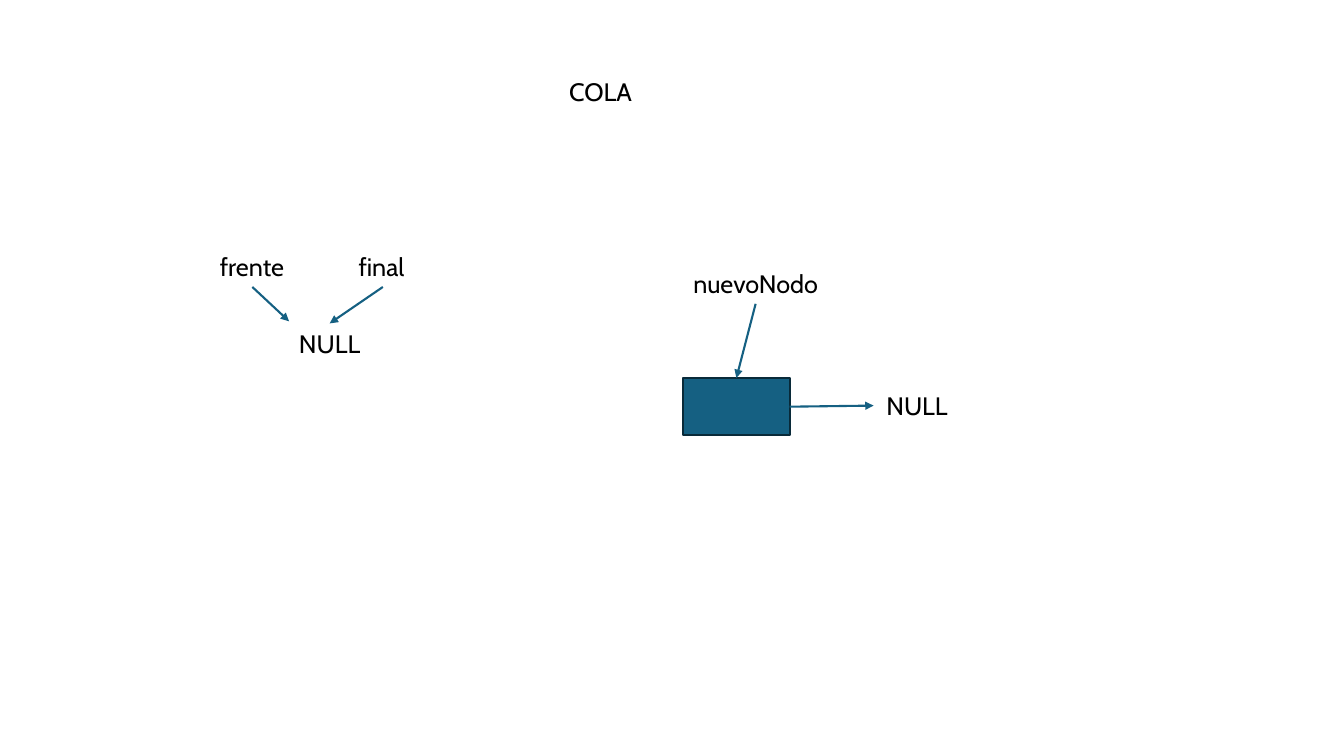
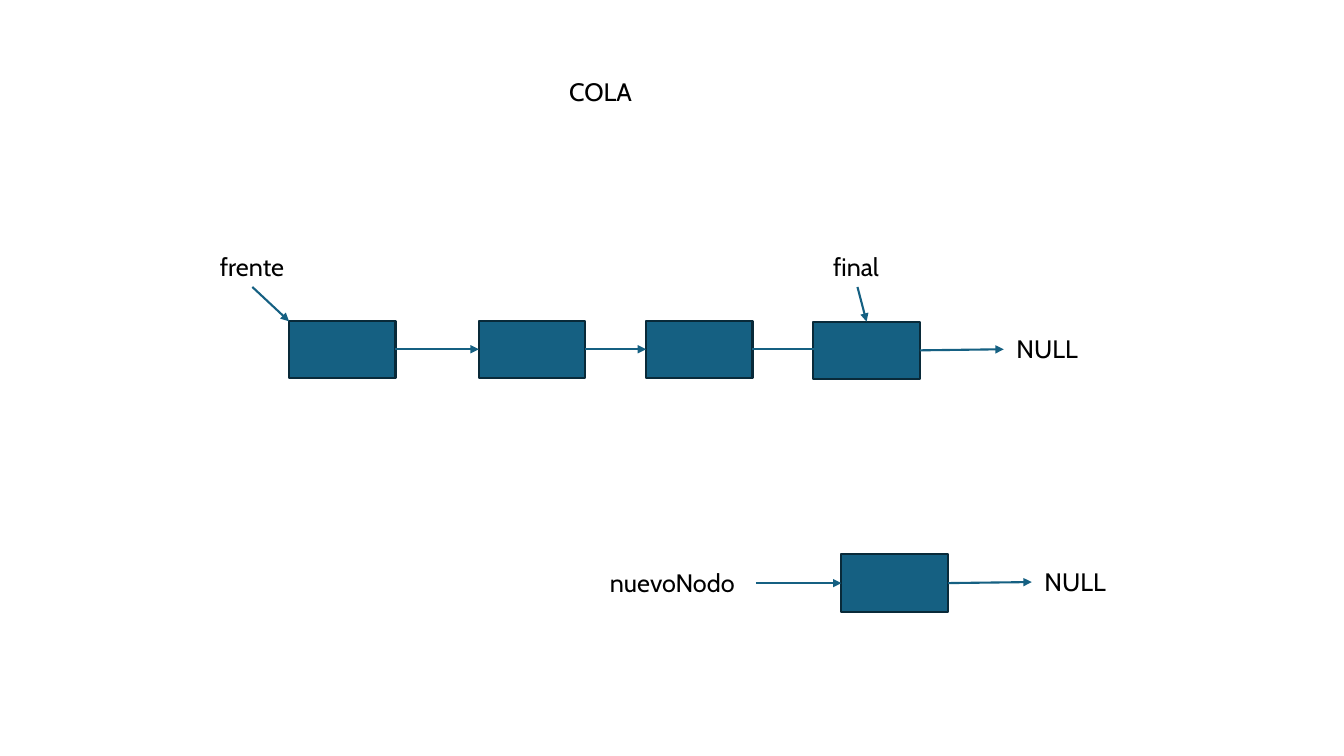
from dataclasses import dataclass

from lxml.etree import SubElement
from pptx import Presentation
from pptx.dml.color import RGBColor
from pptx.enum.shapes import MSO_CONNECTOR, MSO_SHAPE
from pptx.enum.text import MSO_ANCHOR, MSO_AUTO_SIZE, PP_ALIGN
from pptx.oxml.ns import qn
from pptx.util import Pt


@dataclass(frozen=True)
class Theme:
    font: str = "Cabin"
    size: float = 18
    stroke: float = 1.5
    text: RGBColor = RGBColor(0x00, 0x00, 0x00)
    node: RGBColor = RGBColor(0x15, 0x60, 0x82)
    node_edge: RGBColor = RGBColor(0x09, 0x2A, 0x39)
    background: RGBColor = RGBColor(0xFF, 0xFF, 0xFF)


THEME = Theme()
TOP, LEFT, BOTTOM, RIGHT = range(4)
SLIDE_SIZE = (960, 540)
TITLE_BOX = (249, 51, 360, 29)
NODE_SIZE = (76, 41)
LABEL_HEIGHT = 29
LABEL_WIDTHS = {"frente": 60.5, "final": 49, "NULL": 58.5, "nuevoNodo": 119.5}
NULL_ARROW = (60, 19.75)
NULL_LABEL = (62, 5)

SLIDES = [
    {
        "title": "COLA",
        "nodes": {"nuevo": (488, 270)},
        "labels": {"frente": (150, 176), "final": (249, 176),
                   "NULL": (206.5, 231), "nuevoNodo": (480, 188)},
        "ends_in_null": ["nuevo"],
        "arrows": [
            (("frente", BOTTOM), (206.5, 229.5)),
            (("final", BOTTOM), (235.5, 231)),
            (("nuevoNodo", BOTTOM), ("nuevo", TOP)),
        ],
    },
    {
        "title": "COLA",
        "nodes": {"primero": (206.5, 229), "segundo": (342, 229),
                  "tercero": (461.5, 229), "último": (581, 229.75),
                  "nuevo": (601, 396)},
        "labels": {"frente": (150, 176), "final": (588, 176),
                   "nuevoNodo": (420.5, 402)},
        "ends_in_null": ["último", "nuevo"],
        "arrows": [
            (("primero", RIGHT), ("segundo", LEFT)),
            (("segundo", RIGHT), ("tercero", LEFT)),
            (("tercero", RIGHT), (596, 249.5)),
            (("frente", BOTTOM), (206.5, 229.5)),
            (("final", BOTTOM), ("último", TOP)),
            (("nuevoNodo", RIGHT), ("nuevo", LEFT)),
        ],
    },
]


def write(frame, wording, alignment):
    paragraph = frame.paragraphs[0]
    paragraph.alignment = alignment
    run = paragraph.add_run()
    run.text = wording
    run.font.name = THEME.font
    run.font.size = Pt(THEME.size)
    run.font.color.rgb = THEME.text


def add_title(slide, wording):
    title = slide.shapes.title
    title.left, title.top, title.width, title.height = map(Pt, TITLE_BOX)
    frame = title.text_frame
    frame.word_wrap = True
    frame.auto_size = MSO_AUTO_SIZE.SHAPE_TO_FIT_TEXT
    frame.vertical_anchor = MSO_ANCHOR.TOP
    write(frame, wording, PP_ALIGN.CENTER)


def add_label(slide, wording, left, top):
    label = slide.shapes.add_textbox(
        Pt(left), Pt(top), Pt(LABEL_WIDTHS[wording]), Pt(LABEL_HEIGHT))
    centred = wording == "nuevoNodo"
    label.text_frame.word_wrap = centred
    label.text_frame.auto_size = MSO_AUTO_SIZE.SHAPE_TO_FIT_TEXT
    write(label.text_frame, wording,
          PP_ALIGN.CENTER if centred else PP_ALIGN.LEFT)
    return label


def add_node(slide, left, top):
    node = slide.shapes.add_shape(
        MSO_SHAPE.RECTANGLE, Pt(left), Pt(top), *map(Pt, NODE_SIZE))
    node.shadow.inherit = False
    node.fill.solid()
    node.fill.fore_color.rgb = THEME.node
    node.line.color.rgb = THEME.node_edge
    node.line.width = Pt(THEME.stroke)
    return node


def add_arrow(slide, parts, start, end):
    arrow = slide.shapes.add_connector(MSO_CONNECTOR.STRAIGHT, 0, 0, 0, 0)
    arrow.begin_connect(parts[start[0]], start[1])
    if end[0] in parts:
        arrow.end_connect(parts[end[0]], end[1])
    else:
        arrow.end_x, arrow.end_y = map(Pt, end)
    arrow.line.color.rgb = THEME.node
    arrow.line.width = Pt(THEME.stroke)
    SubElement(arrow.line._get_or_add_ln(), qn("a:tailEnd"), type="triangle")
    SubElement(arrow._element.spPr, qn("a:effectLst"))


def build_slide(deck, content):
    slide = deck.slides.add_slide(deck.slide_layouts[5])
    slide.background.fill.solid()
    slide.background.fill.fore_color.rgb = THEME.background
    add_title(slide, content["title"])
    parts = {}
    for name, place in content["nodes"].items():
        parts[name] = add_node(slide, *place)
    for wording, place in content["labels"].items():
        parts[wording] = add_label(slide, wording, *place)
    for start, end in content["arrows"]:
        add_arrow(slide, parts, start, end)
    for name in content["ends_in_null"]:
        left, top = content["nodes"][name]
        right = left + NODE_SIZE[0]
        add_arrow(slide, parts, (name, RIGHT),
                  (right + NULL_ARROW[0], top + NULL_ARROW[1]))
        add_label(slide, "NULL", right + NULL_LABEL[0], top + NULL_LABEL[1])


def main():
    deck = Presentation()
    deck.slide_width, deck.slide_height = map(Pt, SLIDE_SIZE)
    for content in SLIDES:
        build_slide(deck, content)
    deck.save("out.pptx")


if __name__ == "__main__":
    main()
